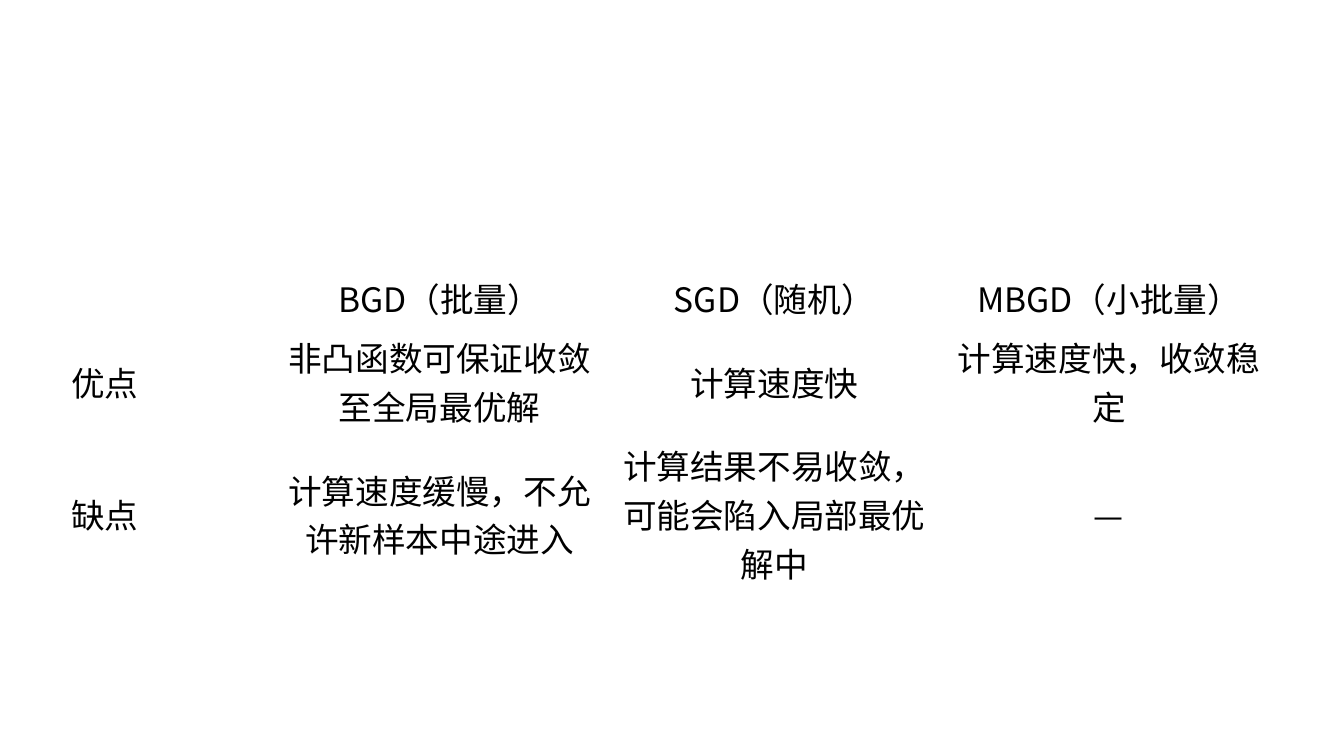
from dataclasses import dataclass

import lxml.etree
import pptx
import pptx.dml.color
import pptx.enum.text
import pptx.oxml.ns
import pptx.table
import pptx.text.text
import pptx.util

FONT = "Noto Sans CJK SC"
TEXT_COLOUR = "000000"
COLUMN_WIDTH = 3.32


@dataclass
class ComparisonRow:
    height: float
    entries: tuple[str, str, str, str]


COMPARISON = [
    ComparisonRow(0.59, ("", "BGD（批量）", "SGD（随机）", "MBGD（小批量）")),
    ComparisonRow(1.07, ("优点", "非凸函数可保证收敛至全局最优解", "计算速度快", "计算速度快，收敛稳定")),
    ComparisonRow(
        1.56,
        ("缺点", "计算速度缓慢，不允许新样本中途进入", "计算结果不易收敛，可能会陷入局部最优解中", "—"),
    ),
]


def colour(hex_value: str) -> pptx.dml.color.RGBColor:
    return pptx.dml.color.RGBColor.from_string(hex_value)


def format_run(run: pptx.text.text._Run) -> None:
    """Apply the same typeface to Latin and East Asian characters."""
    run.font.size = pptx.util.Pt(24)
    run.font.color.rgb = colour(TEXT_COLOUR)
    run.font.name = FONT
    east_asian = lxml.etree.SubElement(run.font._element, pptx.oxml.ns.qn("a:ea"))
    east_asian.set("typeface", FONT)


def fill_cell(cell: pptx.table._Cell, entry: str) -> None:
    cell.fill.background()
    cell.vertical_anchor = pptx.enum.text.MSO_ANCHOR.MIDDLE
    cell.text_frame.text = entry
    paragraph = cell.text_frame.paragraphs[0]
    paragraph.alignment = pptx.enum.text.PP_ALIGN.CENTER
    for run in paragraph.runs:
        format_run(run)


def main() -> None:
    presentation = pptx.Presentation()
    presentation.slide_width = pptx.util.Inches(13.33)
    presentation.slide_height = pptx.util.Inches(7.5)
    slide = presentation.slides.add_slide(presentation.slide_layouts[6])

    column_count = len(COMPARISON[0].entries)
    comparison = slide.shapes.add_table(
        len(COMPARISON),
        column_count,
        pptx.util.Inches(-0.62),
        pptx.util.Inches(2.66),
        pptx.util.Inches(column_count * COLUMN_WIDTH),
        pptx.util.Inches(sum(row.height for row in COMPARISON)),
    ).table
    comparison.first_row = False
    comparison.horz_banding = False

    for column in comparison.columns:
        column.width = pptx.util.Inches(COLUMN_WIDTH)
    for row_index, row in enumerate(COMPARISON):
        comparison.rows[row_index].height = pptx.util.Inches(row.height)
        for column_index, entry in enumerate(row.entries):
            fill_cell(comparison.cell(row_index, column_index), entry)

    presentation.save("out.pptx")


if __name__ == "__main__":
    main()
